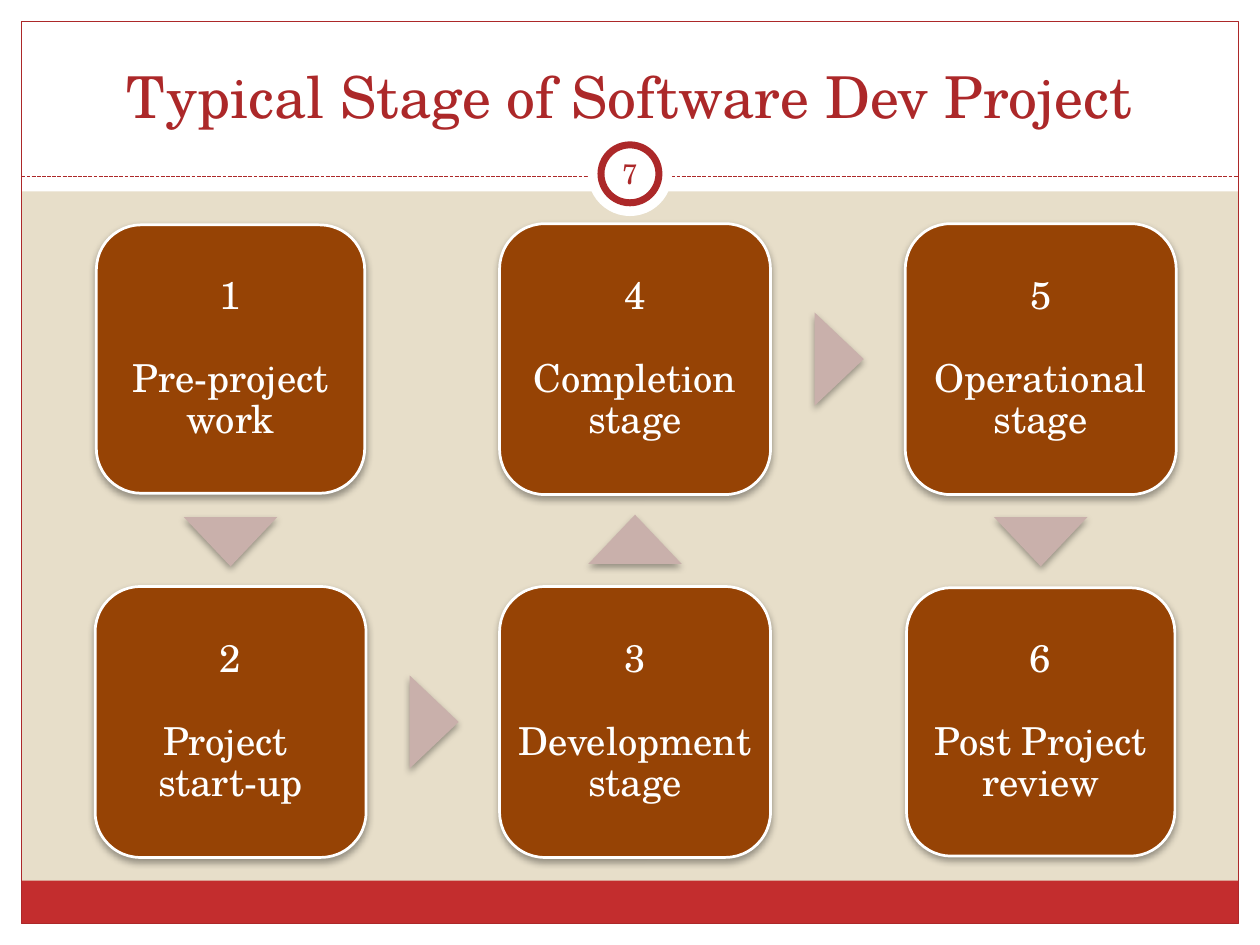
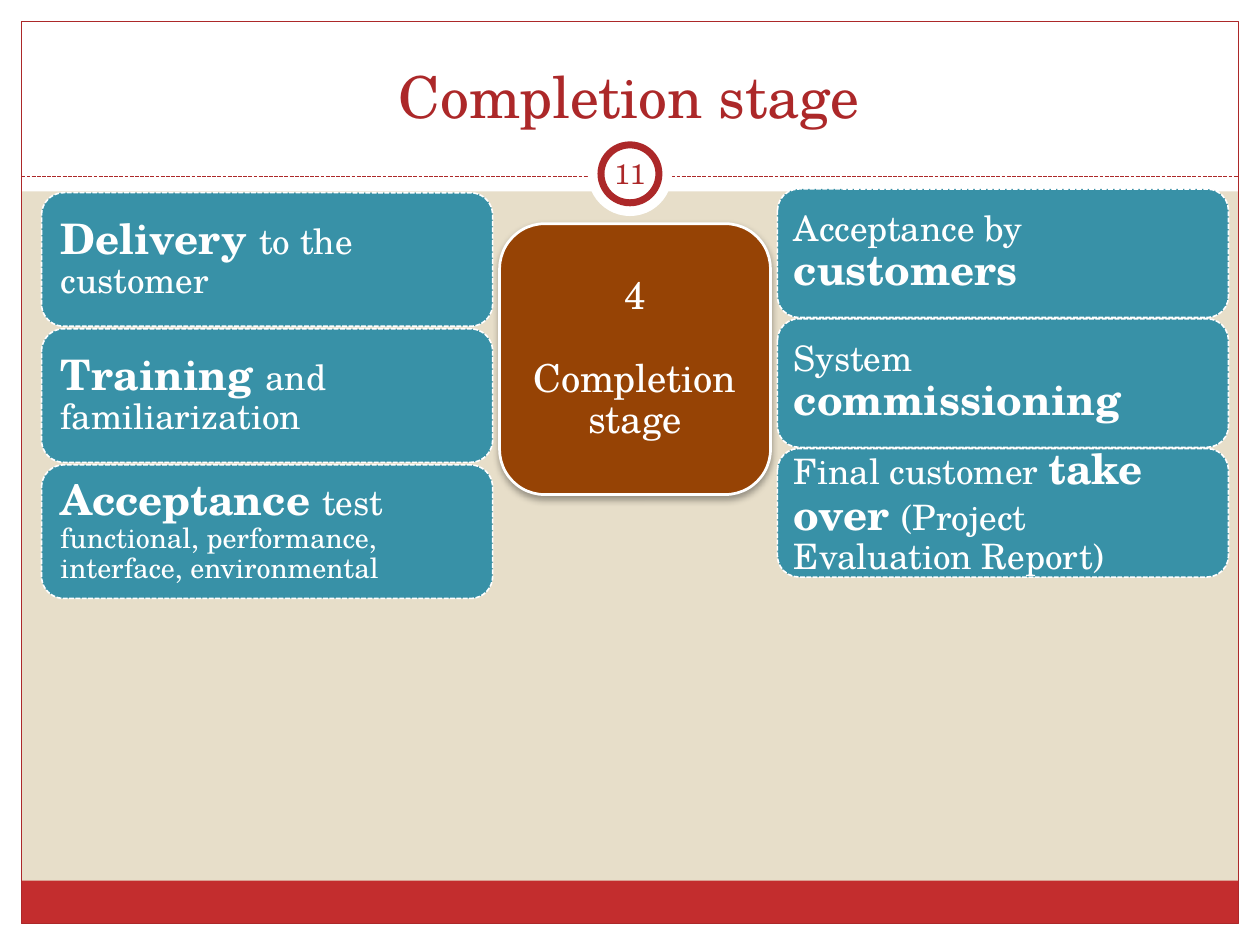
from collections import namedtuple
from dataclasses import dataclass

from lxml import etree
from pptx import Presentation
from pptx.dml.color import RGBColor
from pptx.enum.dml import MSO_LINE
from pptx.enum.shapes import MSO_CONNECTOR, MSO_SHAPE
from pptx.enum.text import MSO_ANCHOR, PP_ALIGN
from pptx.oxml.ns import qn
from pptx.util import Inches, Pt

RECT = MSO_SHAPE.RECTANGLE
OVAL = MSO_SHAPE.OVAL
ROUNDED = MSO_SHAPE.ROUNDED_RECTANGLE
CARD = MSO_SHAPE.FLOWCHART_ALTERNATE_PROCESS
TRIANGLE = MSO_SHAPE.ISOSCELES_TRIANGLE
STRAIGHT = MSO_CONNECTOR.STRAIGHT
DASH = MSO_LINE.SQUARE_DOT
MIDDLE, BOTTOM = MSO_ANCHOR.MIDDLE, MSO_ANCHOR.BOTTOM
CENTER, LEFT = PP_ALIGN.CENTER, PP_ALIGN.LEFT


@dataclass(frozen=True)
class Theme:
    font: str = "TeX Gyre Schola"
    sand: str = "E7DEC9"
    white: str = "FFFFFF"
    band: str = "C32D2E"
    accent: str = "AC2829"
    card: str = "964305"
    arrow: str = "C9B0AB"
    step: str = "3891A7"
    shadow: str = "000000"
    title: int = 33
    strong: int = 24
    stage: int = 22
    body: int = 20
    small: int = 16
    line_spacing: float = 0.9


THEME = Theme()
Box = namedtuple("Box", "left top width height")
Stage = namedtuple("Stage", "label column row size")
Column = namedtuple("Column", "box pitch inset steps")

SLIDE = Box(0, 0, 10, 7.5)
MARGIN = 0.17
CARD_SIZE = 2.15
COLUMN_CENTERS = (1.83, 5.04, 8.26)
ROW_CENTERS = (2.85, 5.73)
ARROW = (0.74, 0.39)
ARROW_NUDGE = 0.01
ROTATIONS = {(0, -1): 0, (1, 0): 90, (0, 1): 180}

STAGES = (
    Stage("Pre-project work", 0, 0, 2.13),
    Stage("Project \nstart-up", 0, 1, CARD_SIZE),
    Stage("Development stage", 1, 1, CARD_SIZE),
    Stage("Completion stage", 1, 0, CARD_SIZE),
    Stage("Operational stage", 2, 0, CARD_SIZE),
    Stage("Post Project review", 2, 1, 2.13),
)

DELIVERY = Column(Box(0.33, 1.53, 3.58, 1.06), 1.08, 0.1, (
    (("Delivery ", THEME.strong), ("to the customer", THEME.body)),
    (("Training ", THEME.strong), ("and familiarization", THEME.body)),
    (("Acceptance ", THEME.strong), ("test\n", THEME.body),
     ("functional, performance, interface, environmental", THEME.small)),
))
HANDOVER = Column(Box(6.17, 1.5, 3.58, 1.02), 1.03, 0.08, (
    (("Acceptance by ", THEME.body), ("customers", THEME.strong)),
    (("System ", THEME.body), ("commissioning", THEME.strong)),
    (("Final customer ", THEME.body), ("take over ", THEME.strong),
     ("(Project Evaluation Report)", THEME.body)),
))


def rgb(color):
    return RGBColor.from_string(color)


def inches(box):
    return [Inches(length) for length in box]


def centered(x, y, width, height):
    return Box(x - width / 2, y - height / 2, width, height)


def style_line(line, color, width, dash=None):
    line.color.rgb = rgb(color)
    line.width = Pt(width)
    if dash:
        line.dash_style = dash


def add_panel(slide, kind, box, fill=None, line=None):
    panel = slide.shapes.add_shape(kind, *inches(box))
    panel.shadow.inherit = False
    if fill:
        panel.fill.solid()
        panel.fill.fore_color.rgb = rgb(fill)
    else:
        panel.fill.background()
    if line:
        style_line(panel.line, *line)
    else:
        panel.line.fill.background()
    return panel


def cast_shadow(panel):
    effects = panel.element.spPr.find(qn("a:effectLst"))
    outer = etree.SubElement(effects, qn("a:outerShdw"), blurRad=str(Pt(4)),
                             dist=str(Pt(2)), dir="5400000", rotWithShape="0")
    color = etree.SubElement(outer, qn("a:srgbClr"), val=THEME.shadow)
    etree.SubElement(color, qn("a:alpha"), val="35000")


def set_frame(frame, inset, anchor=MIDDLE):
    frame.word_wrap = True
    frame.vertical_anchor = anchor
    frame.margin_left = frame.margin_right = Inches(inset)
    frame.margin_top = frame.margin_bottom = Inches(inset)


def write(paragraph, runs, color, align, spacing=1.0):
    paragraph.alignment = align
    paragraph.line_spacing = spacing
    for text, size in runs:
        for index, part in enumerate(text.split("\n")):
            if index:
                paragraph.add_line_break()
            if part:
                run = paragraph.add_run()
                run.text = part
                run.font.name = THEME.font
                run.font.size = Pt(size)
                run.font.bold = size == THEME.strong
                run.font.color.rgb = rgb(color)


def add_backdrop(slide):
    slide.background.fill.solid()
    slide.background.fill.fore_color.rgb = rgb(THEME.sand)
    right, bottom = SLIDE.width - MARGIN, SLIDE.height - MARGIN
    inner_width = SLIDE.width - 2 * MARGIN
    for edge in (
        Box(0, bottom, SLIDE.width, MARGIN),
        Box(0, 0, SLIDE.width, 1.52),
        Box(0, 0, MARGIN, SLIDE.height),
        Box(right, 0, MARGIN, SLIDE.height),
    ):
        add_panel(slide, RECT, edge, THEME.white)
    add_panel(slide, RECT, Box(MARGIN, 6.99, inner_width, 0.34), THEME.band)
    add_panel(slide, RECT, Box(MARGIN, MARGIN, inner_width, bottom - MARGIN),
              line=(THEME.accent, 0.75))
    rule = slide.shapes.add_connector(
        STRAIGHT, *inches((MARGIN, 1.4, right, 1.4)))
    style_line(rule.line, THEME.accent, 0.75, DASH)
    etree.SubElement(rule.element.spPr, qn("a:effectLst"))


def add_header(slide, title, number):
    heading = slide.shapes.add_textbox(*inches(Box(0.33, 0.25, 9.33, 0.83)))
    set_frame(heading.text_frame, 0.05, BOTTOM)
    write(heading.text_frame.paragraphs[0], [(title, THEME.title)],
          THEME.accent, CENTER)
    x, y = SLIDE.width / 2, 1.38
    add_panel(slide, OVAL, centered(x, y, 0.67, 0.67), THEME.white)
    badge = add_panel(slide, OVAL, centered(x, y, 0.46, 0.46), THEME.white,
                      (THEME.accent, 4))
    set_frame(badge.text_frame, 0)
    badge.text_frame.word_wrap = False
    write(badge.text_frame.paragraphs[0], [(str(number), THEME.small)],
          THEME.accent, CENTER)


def stage_center(stage):
    return COLUMN_CENTERS[stage.column], ROW_CENTERS[stage.row]


def add_stage_card(slide, number, stage):
    card = add_panel(slide, CARD,
                     centered(*stage_center(stage), stage.size, stage.size),
                     THEME.card, (THEME.white, 1.57))
    cast_shadow(card)
    frame = card.text_frame
    set_frame(frame, 0.03)
    heading, label = frame.paragraphs[0], frame.add_paragraph()
    heading.space_after = Pt(23.7)
    for paragraph, text in ((heading, str(number)), (label, stage.label)):
        write(paragraph, [(text, THEME.stage)], THEME.white, CENTER,
              THEME.line_spacing)


def add_stage_arrow(slide, start, end):
    (x1, y1), (x2, y2) = stage_center(start), stage_center(end)
    dx, dy = end.column - start.column, end.row - start.row
    arrow = add_panel(slide, TRIANGLE,
                      centered((x1 + x2) / 2 + ARROW_NUDGE * dx,
                               (y1 + y2) / 2 + ARROW_NUDGE * dy, *ARROW),
                      THEME.arrow)
    arrow.rotation = ROTATIONS[dx, dy]
    cast_shadow(arrow)


def add_step_column(slide, column):
    for index, runs in enumerate(column.steps):
        box = column.box._replace(top=column.box.top + index * column.pitch)
        step = add_panel(slide, ROUNDED, box, THEME.step,
                         (THEME.white, 0.9, DASH))
        set_frame(step.text_frame, column.inset)
        write(step.text_frame.paragraphs[0], runs, THEME.white, LEFT,
              THEME.line_spacing)


def start_slide(deck, title, number):
    slide = deck.slides.add_slide(deck.slide_layouts[6])
    add_backdrop(slide)
    add_header(slide, title, number)
    return slide


def build_stage_map(deck):
    slide = start_slide(deck, "Typical Stage of Software Dev Project", 7)
    for number, stage in enumerate(STAGES, 1):
        add_stage_card(slide, number, stage)
    for start, end in zip(STAGES, STAGES[1:]):
        add_stage_arrow(slide, start, end)


def build_completion(deck):
    slide = start_slide(deck, "Completion stage", 11)
    add_stage_card(slide, 4, STAGES[3])
    for column in (DELIVERY, HANDOVER):
        add_step_column(slide, column)


def main():
    deck = Presentation()
    deck.slide_width = Inches(SLIDE.width)
    deck.slide_height = Inches(SLIDE.height)
    build_stage_map(deck)
    build_completion(deck)
    deck.save("out.pptx")


if __name__ == "__main__":
    main()
